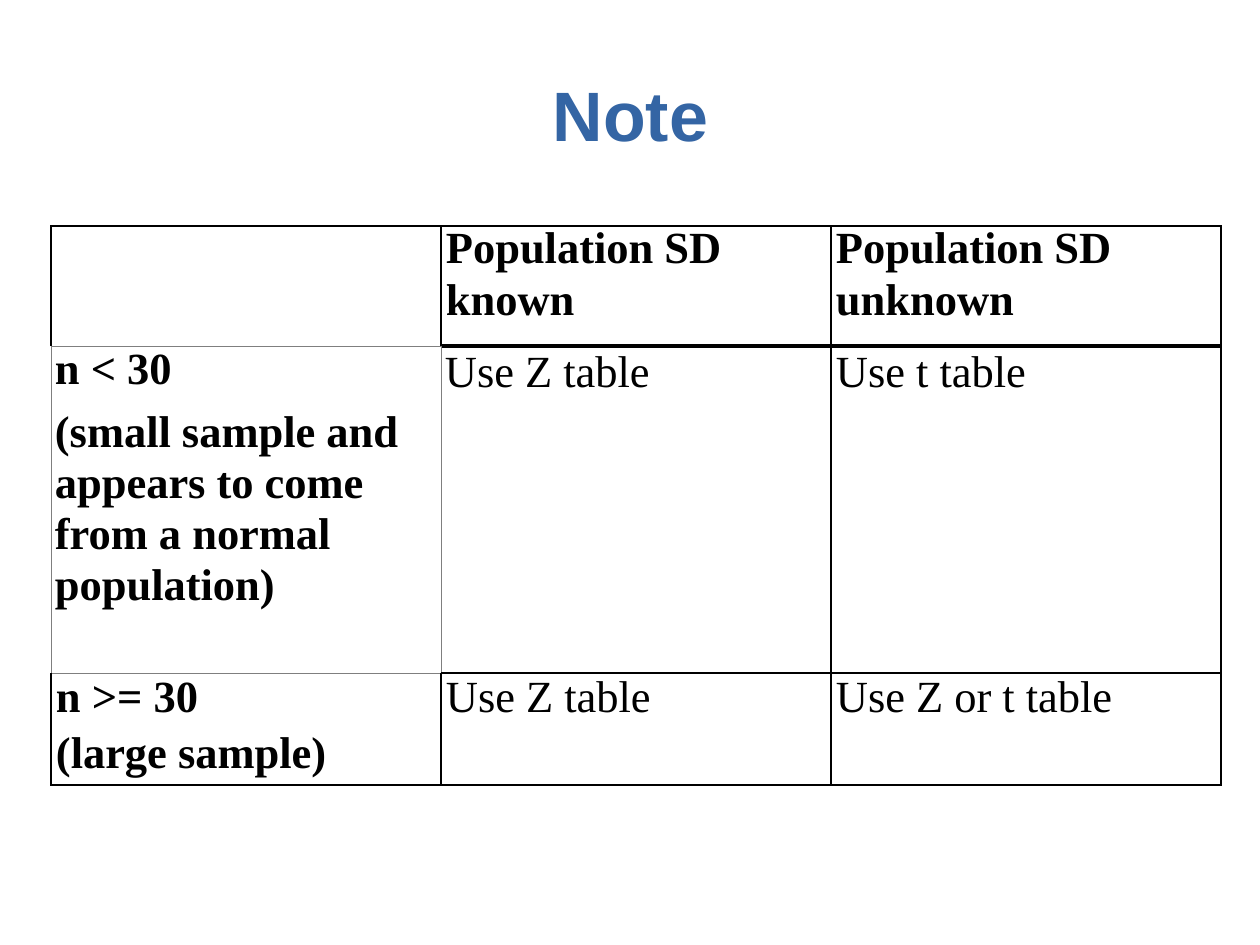
from lxml import etree
from pptx import Presentation
from pptx.dml.color import RGBColor as Rgb
from pptx.enum.text import PP_ALIGN as Align
from pptx.oxml.ns import qn
from pptx.util import Pt

PX = 7993
COLORS = {"title": "3465A4", "ink": "000000", "grey": "7F7F7F"}
SIDES = ("L", "R", "T", "B")


def write_span(para, text, **formats):
    span = para.add_run()
    span.text = text
    span.font.color.rgb = Rgb.from_string(formats.pop("color"))
    for name, value in formats.items():
        setattr(span.font, name, value)


def draw_border(cell, position, side, color, width):
    line = etree.Element(qn(f"a:ln{side}"), w=str(Pt(width)))
    fill = etree.SubElement(line, qn("a:solidFill"))
    etree.SubElement(fill, qn("a:srgbClr"), val=COLORS[color])
    cell._tc.get_or_add_tcPr().insert(position, line)


deck = Presentation()
deck.slide_width, deck.slide_height = 1260 * PX, 945 * PX
page = deck.slides.add_slide(deck.slide_layouts[6])

title = page.shapes.add_textbox(551 * PX, 69 * PX, 159 * PX, 87 * PX).text_frame
title.word_wrap = False
for side in ("left", "right", "bottom"):
    setattr(title, f"margin_{side}", 0)
title.margin_top = 3 * PX
title.paragraphs[0].alignment = Align.CENTER
write_span(title.paragraphs[0], "Note", name="Arial", size=Pt(44), bold=True,
           color=COLORS["title"])

column_width = 390
row_heights = [120, 327, 112]
rows = [
    [[],
     [("Population SD", 29.8, 0), ("known", 32.8, 0)],
     [("Population SD", 29.8, 0), ("unknown", 32.8, 0)]],
    [[("n < 30", 30.1, 0),
      ("(small sample and appears to come from a normal population)", 32, 7.8)],
     [("Use Z table", 32.1, 0)],
     [("Use t table", 32.1, 0)]],
    [[("n >= 30", 30.9, 0), ("(large sample)", None, 4.4)],
     [("Use Z table", 30.9, 0)],
     [("Use Z or t table", 30.9, 0)]],
]
indents = [[5, 5, 5], [4, 4, 5], [5, 5, 5]]

thin, thick, faint = ("ink", 1), ("ink", 3), ("grey", 0.5)
special_borders = {
    (0, 0): {"B": faint},
    (0, 1): {"B": thick},
    (0, 2): {"B": thick},
    (1, 0): dict.fromkeys(SIDES, faint),
    (1, 1): {"L": faint, "T": thick},
    (1, 2): {"T": thick},
    (2, 0): {"T": faint},
}

table = page.shapes.add_table(3, 3, 51 * PX, 226 * PX, 3 * column_width * PX,
                              sum(row_heights) * PX).table
table.first_row = table.horz_banding = False
for column in table.columns:
    column.width = column_width * PX

for r, row in enumerate(rows):
    table.rows[r].height = row_heights[r] * PX
    for c, lines in enumerate(row):
        cell = table.cell(r, c)
        cell.fill.background()
        cell.margin_left = indents[r][c] * PX
        cell.margin_right = cell.margin_top = cell.margin_bottom = 0
        borders = dict.fromkeys(SIDES, thin) | special_borders.get((r, c), {})
        for position, side in enumerate(SIDES):
            draw_border(cell, position, side, *borders[side])
        frame = cell.text_frame
        for i, (text, spacing, before) in enumerate(lines):
            para = frame.add_paragraph() if i else frame.paragraphs[0]
            if spacing:
                para.line_spacing = Pt(spacing)
            if before:
                para.space_before = Pt(before)
            write_span(para, text, name="Times New Roman", size=Pt(28),
                       bold=r == 0 or c == 0, color=COLORS["ink"])

deck.save("out.pptx")
